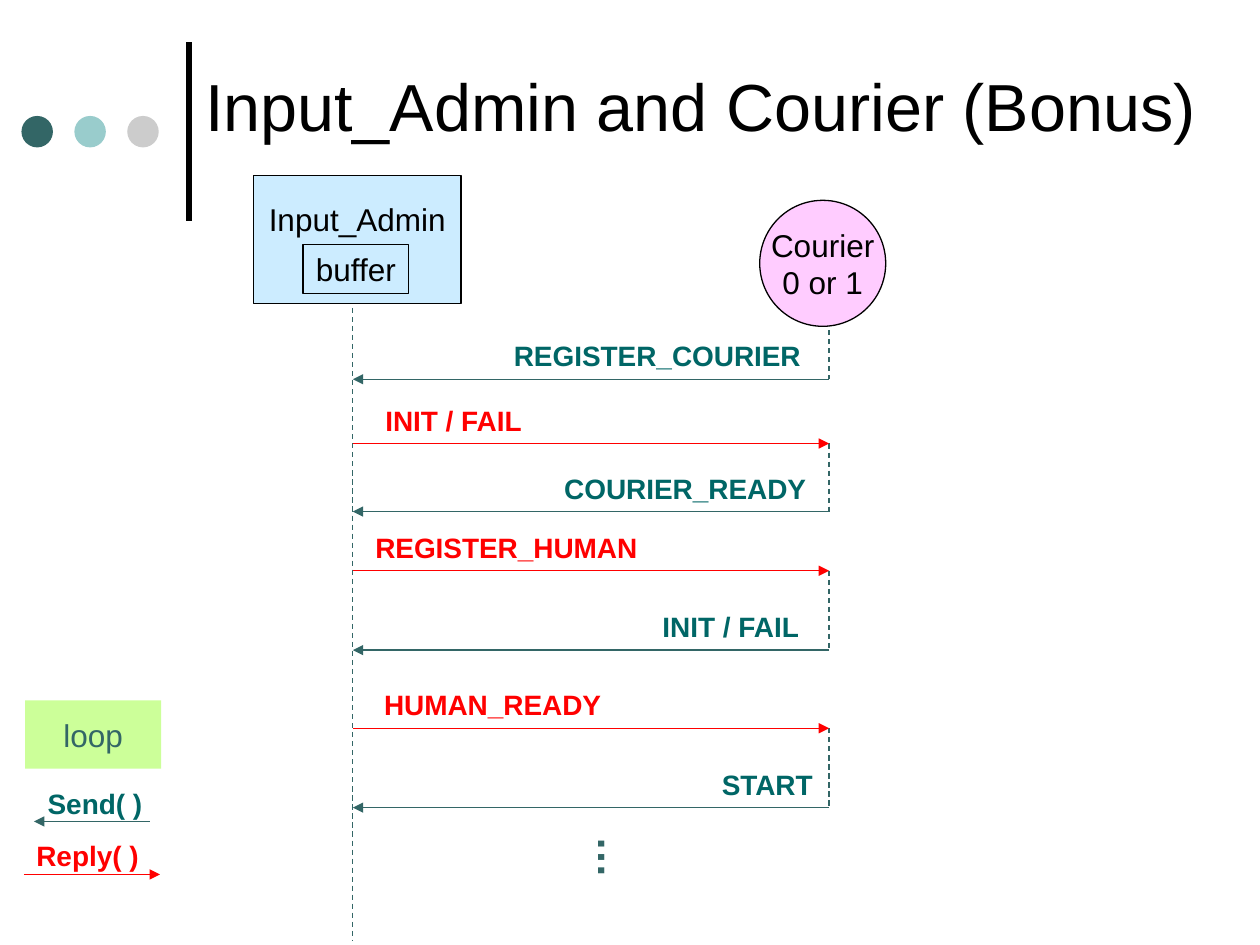
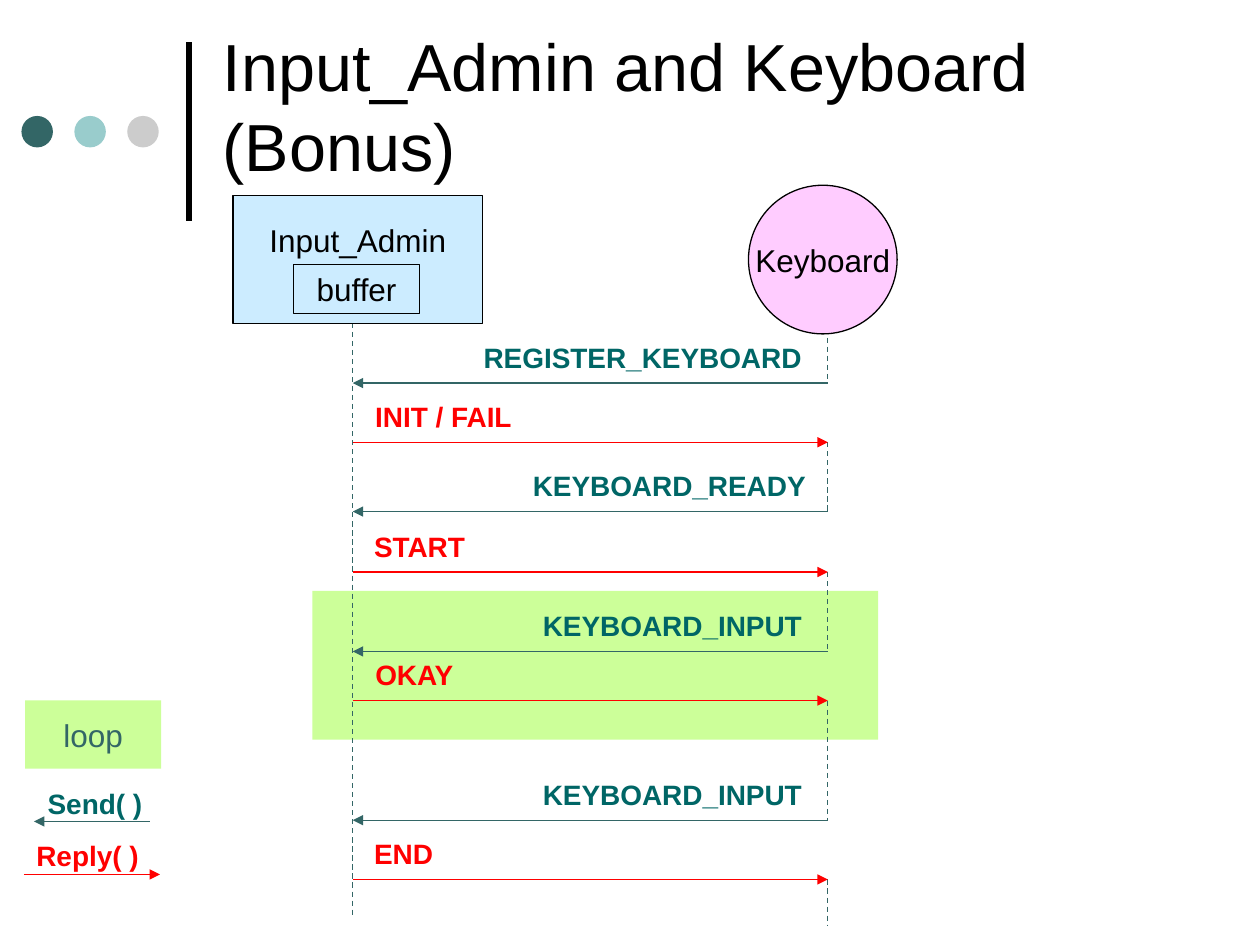
from dataclasses import dataclass

from lxml import etree
from pptx import Presentation
from pptx.dml.color import RGBColor
from pptx.enum import dml, shapes, text
from pptx.oxml.ns import qn
from pptx.util import Inches, Pt


@dataclass(frozen=True)
class Theme:
    font: str = "Arial"
    title_size: int = 38
    ellipsis_size: int = 24
    body_size: int = 18
    label_size: int = 16
    thin: float = 0.75
    thick: float = 3
    ink: str = "000000"
    teal: str = "336666"
    send: str = "006666"
    reply: str = "FF0000"
    admin: str = "CCECFF"
    client: str = "FFCCFF"
    loop: str = "CCFF99"
    dots: tuple = ("336666", "99CCCC", "CCCCCC")


THEME = Theme()
LABEL_HEIGHT = 0.37


@dataclass(frozen=True)
class Box:
    left: float
    top: float
    width: float
    height: float

    @property
    def right(self):
        return self.left + self.width

    @property
    def bottom(self):
        return self.top + self.height

    def inner(self, left, top, width, height):
        """A box placed relative to this one."""
        return Box(self.left + left, self.top + top, width, height)

    def inches(self):
        return [Inches(n) for n in (self.left, self.top, self.width, self.height)]


@dataclass(frozen=True)
class Message:
    text: str
    drop: float   # arrow position below the top of the lifelines
    width: float  # label width
    gap: float    # label distance from the sender's lifeline


# Shared drawing helpers

def write(shape, words, size, color, bold=False, align=text.PP_ALIGN.LEFT,
          anchor=text.MSO_ANCHOR.TOP, wrap=False):
    frame = shape.text_frame
    frame.text = words
    frame.word_wrap = wrap
    frame.vertical_anchor = anchor
    for paragraph in frame.paragraphs:
        paragraph.alignment = align
        for run in paragraph.runs:
            run.font.name = THEME.font
            run.font.size = Pt(size)
            run.font.bold = bold
            run.font.color.rgb = RGBColor.from_string(color)


def add_text(slide, box, words, size, color, **options):
    shape = slide.shapes.add_textbox(*box.inches())
    write(shape, words, size, color, **options)
    return shape


def add_figure(parent, kind, box, fill, outlined=False, words="",
               color=THEME.ink, anchor=text.MSO_ANCHOR.MIDDLE):
    shape = parent.add_shape(kind, *box.inches())
    shape.shadow.inherit = False
    shape.fill.solid()
    shape.fill.fore_color.rgb = RGBColor.from_string(fill)
    if outlined:
        shape.line.color.rgb = RGBColor.from_string(THEME.ink)
        shape.line.width = Pt(THEME.thin)
    else:
        shape.line.fill.background()
    if words:
        write(shape, words, THEME.body_size, color,
              align=text.PP_ALIGN.CENTER, anchor=anchor)
    return shape


def add_line(slide, start, end, color=THEME.teal, width=THEME.thin,
             dashed=False, arrow=False):
    connector = slide.shapes.add_connector(
        shapes.MSO_CONNECTOR.STRAIGHT, *[Inches(n) for n in (*start, *end)])
    connector.line.color.rgb = RGBColor.from_string(color)
    connector.line.width = Pt(width)
    if dashed:
        connector.line.dash_style = dml.MSO_LINE.DASH
    properties = connector.element.spPr
    if arrow:
        etree.SubElement(properties.find(qn("a:ln")), qn("a:tailEnd"), type="triangle")
    etree.SubElement(properties, qn("a:effectLst"))


def add_label(slide, box, words, color):
    shape = add_text(slide, box, words, THEME.label_size, color, bold=True)
    shape.text_frame.auto_size = text.MSO_AUTO_SIZE.SHAPE_TO_FIT_TEXT


# Slide regions

def add_header(slide, box, title, title_box):
    add_line(slide, (box.right, box.bottom), (box.right, box.top),
             THEME.ink, THEME.thick)
    for index, color in enumerate(THEME.dots):
        dot = box.inner(0.42 * index, 0.59, 0.25, 0.25)
        add_figure(slide.shapes, shapes.MSO_SHAPE.OVAL, dot, color)
    add_text(slide, title_box, title, THEME.title_size, THEME.ink,
             anchor=text.MSO_ANCHOR.MIDDLE, wrap=True)


def add_admin(slide, box, buffer_width):
    group = slide.shapes.add_group_shape().shapes
    admin = add_figure(group, shapes.MSO_SHAPE.RECTANGLE, box, THEME.admin, True,
                       "Input_Admin", anchor=text.MSO_ANCHOR.TOP)
    admin.text_frame.margin_top = Inches(0.2)
    buffer = box.inner((box.width - buffer_width) / 2 - 0.01, 0.55, buffer_width, 0.39)
    add_figure(group, shapes.MSO_SHAPE.RECTANGLE, buffer, THEME.admin, True, "buffer")


def add_messages(slide, box, messages, lift):
    """Sends point left and replies point right, in turn."""
    for index, message in enumerate(messages):
        y = box.top + message.drop
        admin_end, client_end = (box.left, y), (box.right, y)
        if index % 2 == 0:
            add_line(slide, client_end, admin_end, arrow=True)
            color, offset = THEME.send, box.width - message.gap - message.width
        else:
            add_line(slide, admin_end, client_end, THEME.reply, arrow=True)
            color, offset = THEME.reply, message.gap
        label = box.inner(offset, message.drop - lift, message.width, LABEL_HEIGHT)
        add_label(slide, label, message.text, color)


def add_lifelines(slide, box, client_bottom, messages, client_end):
    """The client's line shows only between a reply and the next send."""
    add_line(slide, (box.left, box.top), (box.left, box.bottom), dashed=True)
    drops = [box.top + message.drop for message in messages]
    starts = [client_bottom, *drops[1::2]]
    ends = [*drops[0::2], client_end]
    for start, end in zip(starts, ends):
        if end is not None:
            add_line(slide, (box.right, start), (box.right, end), dashed=True)


def add_ellipsis(slide, box):
    shape = add_text(slide, box, "…", THEME.ellipsis_size, THEME.teal, bold=True)
    frame = shape.text_frame
    frame.margin_left = frame.margin_right = Inches(0.05)
    frame.margin_top = frame.margin_bottom = Inches(0.1)
    shape.element.txBody.find(qn("a:bodyPr")).set("vert", "eaVert")


def add_legend(slide, box):
    add_figure(slide.shapes, shapes.MSO_SHAPE.RECTANGLE, box.inner(0.01, 0, 1.08, 0.54),
               THEME.loop, words="loop", color=THEME.teal)
    send_y, reply_y = box.top + 0.96, box.bottom
    add_line(slide, (box.right - 0.08, send_y), (box.left + 0.08, send_y), arrow=True)
    add_label(slide, box.inner(0.09, 0.63, 0.95, LABEL_HEIGHT), "Send( )", THEME.send)
    add_line(slide, (box.left, reply_y), (box.right, reply_y), THEME.reply, arrow=True)
    add_label(slide, box.inner(0, 1.05, 1.01, LABEL_HEIGHT), "Reply( )", THEME.reply)


def add_sequence_slide(presentation, title, title_box, client, client_box, admin_box,
                       buffer_width, lines_box, messages, lift,
                       client_end=None, loop_box=None, ellipsis_box=None):
    slide = presentation.slides.add_slide(presentation.slide_layouts[6])
    add_header(slide, Box(0.17, 0.33, 1.33, 1.42), title, title_box)
    if loop_box:
        add_figure(slide.shapes, shapes.MSO_SHAPE.RECTANGLE, loop_box, THEME.loop)
    add_lifelines(slide, lines_box, client_box.bottom + 0.03, messages, client_end)
    add_figure(slide.shapes, shapes.MSO_SHAPE.OVAL, client_box, THEME.client, True, client)
    add_admin(slide, admin_box, buffer_width)
    add_messages(slide, lines_box, messages, lift)
    if ellipsis_box:
        add_ellipsis(slide, ellipsis_box)
    add_legend(slide, Box(0.19, 5.56, 1.08, 1.38))


def main():
    presentation = Presentation()
    presentation.slide_width, presentation.slide_height = Inches(10), Inches(7.5)

    courier_lines = Box(2.8, 2.3, 3.78, 5.17)
    add_sequence_slide(
        presentation, "Input_Admin and Courier (Bonus)", Box(1.53, 0.28, 8.31, 1.1),
        client="Courier\n0 or 1", client_box=Box(6.03, 1.59, 1, 1),
        admin_box=Box(2.01, 1.39, 1.65, 1.02), buffer_width=0.84,
        lines_box=courier_lines, lift=0.37,
        messages=[
            Message("REGISTER_COURIER", 0.71, 2.52, 0.08),
            Message("INIT / FAIL", 1.22, 1.33, 0.16),
            Message("COURIER_READY", 1.76, 2.16, 0.04),
            Message("REGISTER_HUMAN", 2.23, 2.32, 0.08),
            Message("INIT / FAIL", 2.86, 1.33, 0.09),
            Message("HUMAN_READY", 3.48, 1.96, 0.15),
            Message("START", 4.11, 0.98, -0.03),
        ],
        ellipsis_box=courier_lines.inner(1.73, 4.24, 0.6, 0.44))

    keyboard_lines = Box(2.8, 2.49, 3.77, 4.8)
    add_sequence_slide(
        presentation, "Input_Admin and Keyboard (Bonus)", Box(1.67, 0.2, 8.33, 1.26),
        client="Keyboard", client_box=Box(5.94, 1.47, 1.18, 1.18),
        admin_box=Box(1.85, 1.55, 1.98, 1.02), buffer_width=1,
        lines_box=keyboard_lines, lift=0.39,
        messages=[
            Message("REGISTER_KEYBOARD", 0.55, 2.76, 0.07),
            Message("INIT / FAIL", 1.02, 1.33, 0.08),
            Message("KEYBOARD_READY", 1.57, 2.41, 0.03),
            Message("START", 2.05, 0.98, 0.07),
            Message("KEYBOARD_INPUT", 2.68, 2.29, 0.07),
            Message("OKAY", 3.07, 0.88, 0.08),
            Message("KEYBOARD_INPUT", 4.02, 2.29, 0.07),
            Message("END", 4.49, 0.71, 0.07),
        ],
        client_end=7.35, loop_box=keyboard_lines.inner(-0.32, 2.2, 4.49, 1.18))

    presentation.save("out.pptx")


if __name__ == "__main__":
    main()
